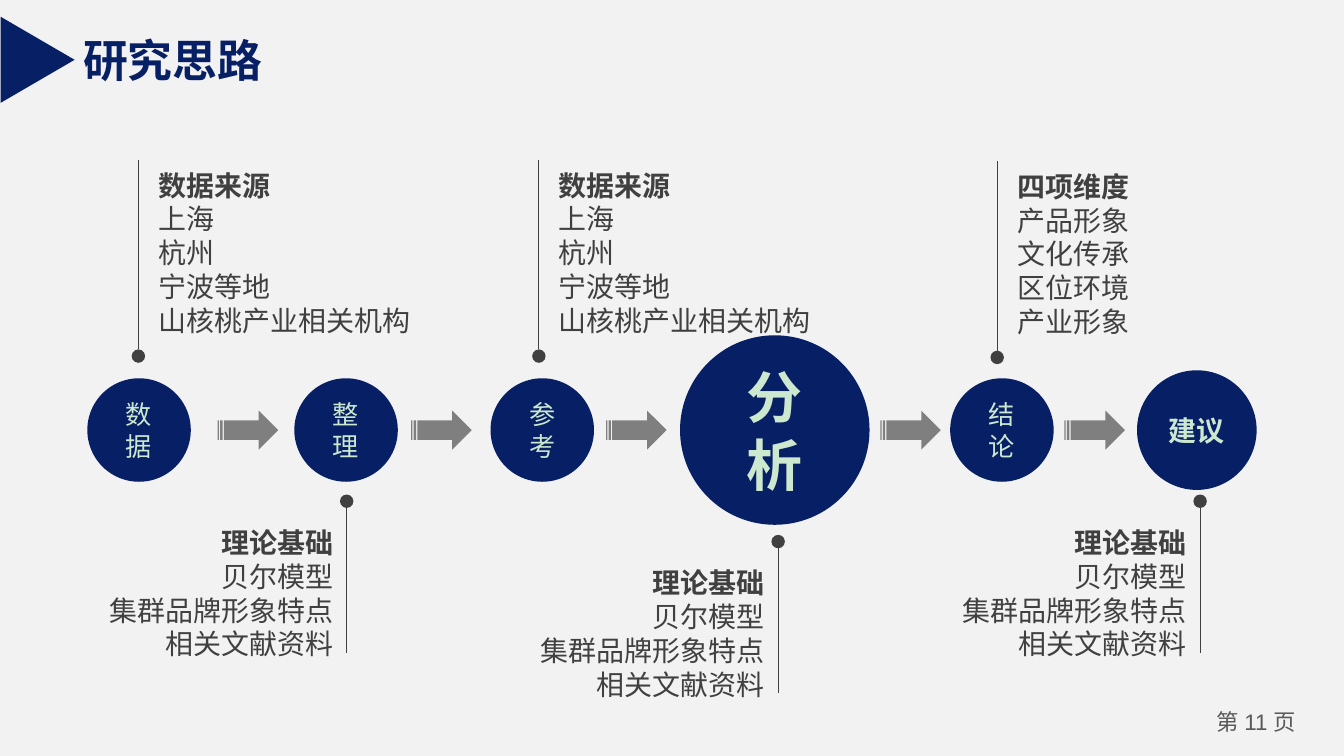
import pptx
import pptx.util
import pptx.dml.color
import pptx.enum.shapes
import pptx.enum.text
import pptx.oxml
import pptx.oxml.ns
from pptx.util import Inches

RGB = pptx.dml.color.RGBColor
SHAPE = pptx.enum.shapes.MSO_SHAPE
ALIGN = pptx.enum.text.PP_ALIGN
PALE = RGB(0xF2, 0xF2, 0xF2)
NAVY = RGB(0x07, 0x1F, 0x65)
MINT = RGB(0xCC, 0xE8, 0xCF)
GREY = RGB(0x7F, 0x7F, 0x7F)
DARK = RGB(0x40, 0x40, 0x40)
PAGE = RGB(0x59, 0x59, 0x59)
CJK = "Noto Sans CJK SC"


def write(tf, lines, size, color, align, bold_lines=0, latin=CJK):
    """Fill a text frame; each line is a list of runs, the first lines are bold."""
    for i, runs in enumerate(lines):
        p = tf.paragraphs[0] if i == 0 else tf.add_paragraph()
        p.alignment = align
        p.line_spacing = pptx.util.Pt(round(size * 1.21, 1))
        for text in runs:
            r = p.add_run()
            r.text = text
            fmt = {"name": "Arial" if text.strip().isdigit() else latin,
                   "size": pptx.util.Pt(size), "bold": i < bold_lines}
            for key, value in fmt.items():
                setattr(r.font, key, value)
            r.font.color.rgb = color
            ea = r.font._element.makeelement(pptx.oxml.ns.qn("a:ea"), {"typeface": CJK})
            r.font._element.append(ea)


def add_shape(kind, x, y, w, h, color):
    """Add a plain filled shape without outline or shadow."""
    sp = s.shapes.add_shape(kind, Inches(x), Inches(y), Inches(w), Inches(h))
    sp.shadow.inherit = False
    sp.fill.solid()
    sp.fill.fore_color.rgb = color
    sp.line.fill.background()
    return sp


# 16:9 slide
prs = pptx.Presentation()
prs.slide_width, prs.slide_height = Inches(10), Inches(10 * 9 / 16)
s = prs.slides.add_slide(prs.slide_layouts[6])
s.background.fill.solid()
s.background.fill.fore_color.rgb = PALE

# Page number
tb = s.shapes.add_textbox(Inches(8.9), Inches(5.24), Inches(0.9), Inches(0.3))
frame = {"word_wrap": True, "margin_left": Inches(0.07), "margin_right": Inches(0.07),
         "margin_top": Inches(0.03), "margin_bottom": Inches(0.04)}
for key, value in frame.items():
    setattr(tb.text_frame, key, value)
write(tb.text_frame, [["第 ", "11 ", "页"]], 12, PAGE, ALIGN.CENTER)

# Process circles: label, left, diameter, size, bold lines
MIDDLE = 3.2
steps = [
    ("数据", 0.65, 0.77, 14, 0),
    ("整理", 2.19, 0.77, 14, 0),
    ("参考", 3.65, 0.77, 14, 0),
    ("分析", 5.06, 1.41, 30, 1),
    ("结论", 7.07, 0.77, 14, 0),
    ("建议", 8.46, 0.89, 15, 1),
]
for label, x, d, size, bold in steps:
    sp = add_shape(SHAPE.OVAL, x, MIDDLE - d / 2, d, d, NAVY)
    sp.text_frame.word_wrap = True
    sp.text_frame.vertical_anchor = pptx.enum.text.MSO_ANCHOR.MIDDLE
    write(sp.text_frame, [[label]], size, MINT, ALIGN.CENTER, bold)

# Arrows between the circles
for x in (1.62, 3.06, 4.51, 6.55, 7.92):
    add_shape(SHAPE.STRIPED_RIGHT_ARROW, x, MIDDLE - 0.29 / 2, 0.45, 0.29, GREY)

# Callouts: line x, dot top, above the circles, text width, lines
sources = ["数据来源", "上海", "杭州", "宁波等地", "山核桃产业相关机构"]
theory = ["理论基础", "贝尔模型", "集群品牌形象特点", "相关文献资料"]
aspects = ["四项维度", "产品形象", "文化传承", "区位环境", "产业形象"]
callouts = [
    (1.03, 2.6, True, 2.1, sources),
    (2.58, 3.68, False, 1.88, theory),
    (7.42, 2.61, True, 1.04, aspects),
    (4.01, 2.6, True, 2.1, sources),
    (8.93, 3.68, False, 1.88, theory),
    (5.79, 3.98, False, 1.88, theory),
]
for x, dot, above, width, lines in callouts:
    add_shape(SHAPE.OVAL, x - 0.05, dot, 0.1, 0.1, DARK)
    start, end = (dot, dot - 1.41) if above else (dot + 0.1, dot + 1.18)
    cx = s.shapes.add_connector(pptx.enum.shapes.MSO_CONNECTOR.STRAIGHT,
                                Inches(x), Inches(start), Inches(x), Inches(end))
    cx.line.color.rgb = DARK
    cx.line.width = pptx.util.Pt(0.5)
    sppr = cx._element.spPr
    sppr.append(sppr.makeelement(pptx.oxml.ns.qn("a:effectLst"), {}))

    left, top = (x + 0.05, dot - 1.4) if above else (x - width, dot + 0.18)
    tb = s.shapes.add_textbox(Inches(left), Inches(top), Inches(width),
                              Inches(0.1 + 0.252 * len(lines)))
    tb.text_frame.word_wrap = False
    tb.text_frame.auto_size = pptx.enum.text.MSO_AUTO_SIZE.SHAPE_TO_FIT_TEXT
    write(tb.text_frame, [[line] for line in lines], 15, DARK,
          ALIGN.LEFT if above else ALIGN.RIGHT, 1)

# Title with its triangle marker
tb = s.shapes.add_textbox(Inches(0.52), Inches(0.19), Inches(1.55), Inches(0.5))
tb.text_frame.word_wrap = False
write(tb.text_frame, [["研究思路"]], 24, NAVY, ALIGN.LEFT, 1, "Arial")
sp = add_shape(SHAPE.ISOSCELES_TRIANGLE, -0.04, 0.17, 0.64, 0.55, NAVY)
sp.rotation = 90

prs.save("out.pptx")
